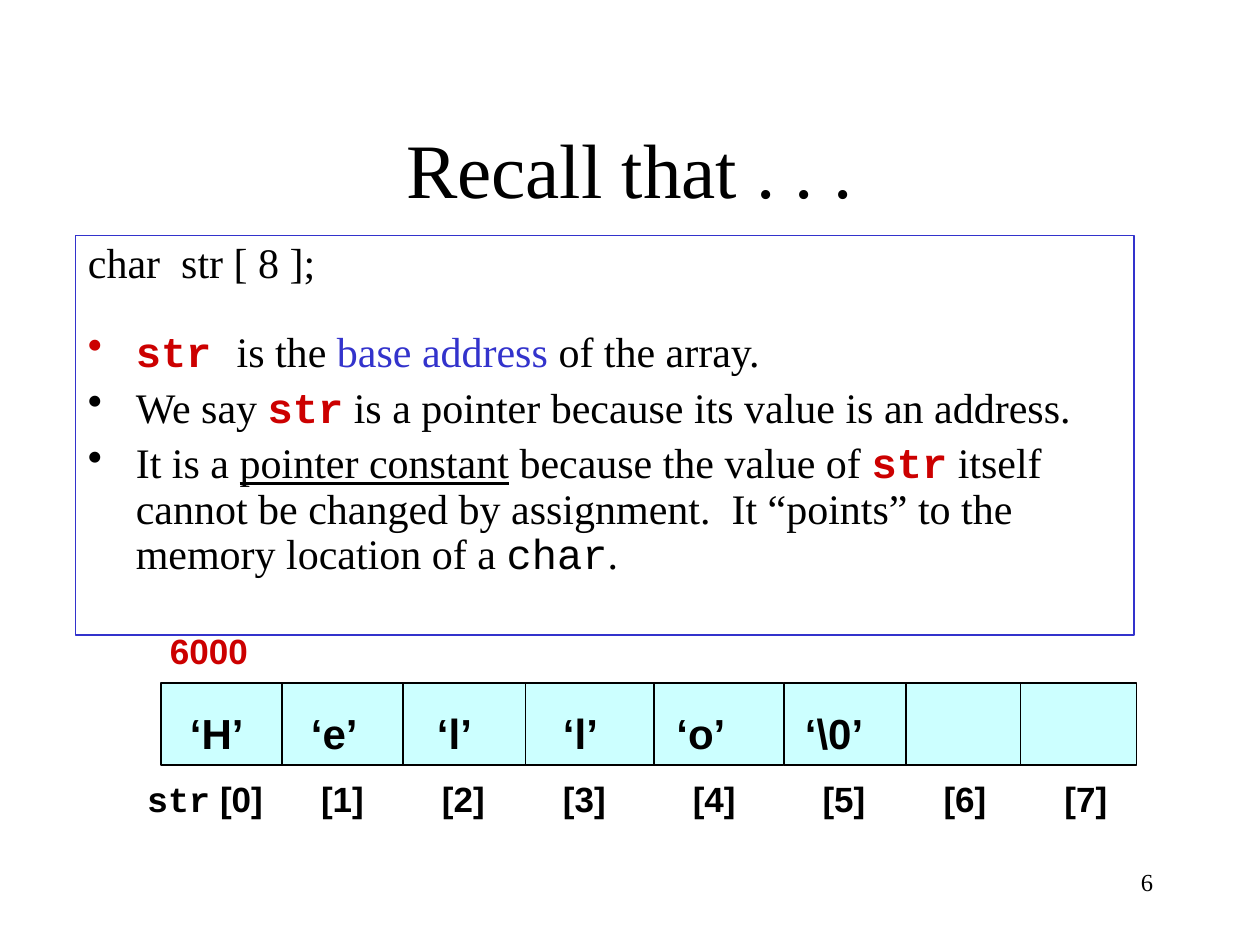
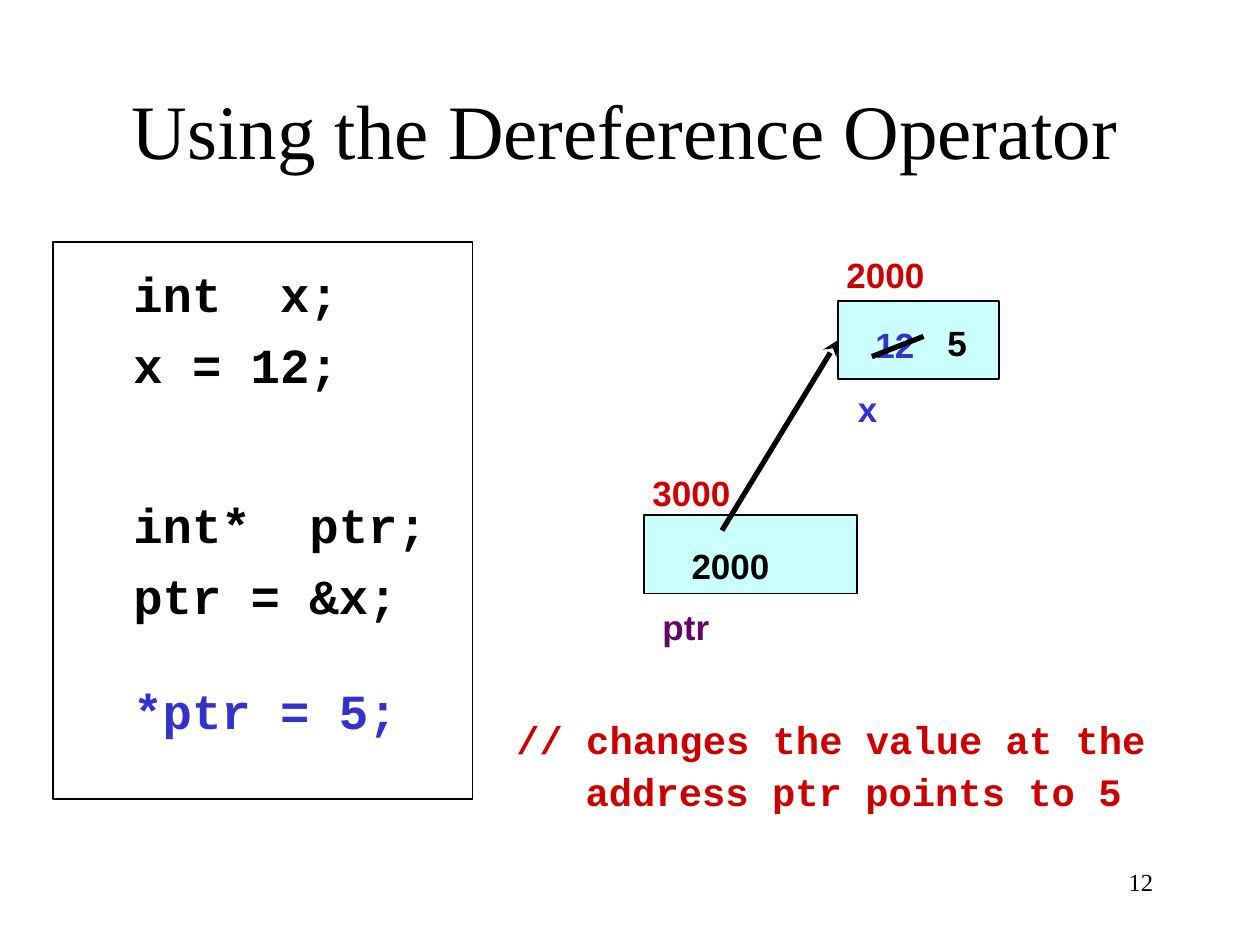
from dataclasses import dataclass

from lxml import etree
from pptx import Presentation
from pptx.dml.color import RGBColor
from pptx.enum.shapes import MSO_CONNECTOR, MSO_SHAPE
from pptx.enum.text import MSO_ANCHOR, PP_ALIGN
from pptx.oxml.ns import qn
from pptx.util import Inches, Pt

LINE, RECT = MSO_CONNECTOR.STRAIGHT, MSO_SHAPE.RECTANGLE
LEFT, MID, RIGHT = PP_ALIGN.LEFT, PP_ALIGN.CENTER, PP_ALIGN.RIGHT
TOP, BOTTOM = MSO_ANCHOR.TOP, MSO_ANCHOR.BOTTOM
LEFT_SIDE = 1


@dataclass(frozen=True)
class Theme:
    black: str = "000000"
    white: str = "FFFFFF"
    red: str = "CC0000"
    blue: str = "3333CC"
    plum: str = "660066"
    cell: str = "CCFFFF"
    serif: str = "Times New Roman"
    sans: str = "Arial"
    mono: str = "Courier New"
    title: float = 44
    code: float = 28
    body: float = 24
    note: float = 22.2
    label: float = 20
    page: float = 14


T = Theme()


@dataclass(frozen=True)
class Style:
    font: str
    size: float
    color: str = T.black
    bold: bool = False
    line: bool = False


@dataclass(frozen=True)
class Para:
    runs: list
    before: float = 0
    space: float = 1
    align: int = LEFT
    indent: float = 0
    bullet: str = ""


TITLE = Style(T.serif, T.title)
PAGE = Style(T.serif, T.page)
BODY = Style(T.serif, T.body)
BASE = Style(T.serif, T.body, T.blue)
UNDER = Style(T.serif, T.body, line=True)
NAME = Style(T.mono, T.body, T.red, True)
TYPE = Style(T.mono, T.body)
CHAR = Style(T.sans, T.body, bold=True)
CODE = Style(T.mono, T.code, bold=True)
HOT = Style(T.mono, T.code, T.blue, True)
NOTE = Style(T.mono, T.note, T.red, True)
INDEX = Style(T.mono, T.label, bold=True)
LABEL = Style(T.sans, T.label, bold=True)
ADDR = Style(T.sans, T.label, T.red, True)
VAR = Style(T.sans, T.label, T.blue, True)
PTR = Style(T.sans, T.label, T.plum, True)

# Array slide
FACTS = [
    ("", 7, [("char  str [ 8 ];", BODY)]),
    (T.red, 25, [("str ", NAME), ("is the ", BODY), ("base address ", BASE),
                 ("of the array.", BODY)]),
    (T.black, 6, [("We say ", BODY), ("str", NAME),
                  (" is a pointer because its value is an address.", BODY)]),
    (T.black, 6, [("It is a ", BODY), ("pointer constant", UNDER),
                  (" because the value of ", BODY), ("str", NAME),
                  (" itself cannot be changed by assignment.  It “points” "
                   "to the memory location of a ", BODY),
                  ("char", TYPE), (".", BODY)]),
]
EDGES = [1.28, 2.24, 3.2, 4.17, 5.19, 6.22, 7.19, 8.1, 9.02]
BREAK = 5  # the edge where the two strips of cells meet
ROW, HIGH = 5.42, 0.65
CHARS = [("‘H’", 1.41), ("‘e’", 2.37), ("‘l’", 3.37),
         ("‘l’", 4.37), ("‘o’", 5.27), ("‘\\0’", 6.29)]
MARKS = [2.45, 3.41, 4.37, 5.4, 6.43, 7.39, 8.35]

# Pointer slide
LINES = [("int  x;", 7, CODE), ("x = 12;", 7, CODE), ("int*  ptr;", 58, CODE),
         ("ptr = &x;", 7, CODE), ("*ptr = 5;", 32, HOT)]
NOTES = [("// changes the value at the", 0), ("address ptr points to 5", 0.55)]
X_BOX = (6.65, 2.39, 1.28, 0.62)
PTR_BOX = (5.11, 4.09, 1.69, 0.62)
LABELS = [("2000", 6.62, 1.96, ADDR), ("12", 6.85, 2.52, VAR),
          ("x", 6.71, 3.03, VAR), ("3000", 5.08, 3.69, ADDR),
          ("2000", 5.39, 4.27, LABEL), ("ptr", 5.16, 4.76, PTR)]


def rgb(color):
    return RGBColor.from_string(color)


def add_run(para, words, style):
    run = para.add_run()
    run.text = words
    font = run.font
    font.name, font.size = style.font, Pt(style.size)
    font.bold, font.underline = style.bold, style.line
    font.color.rgb = rgb(style.color)


def write(shape, paras, anchor=TOP):
    frame = shape.text_frame
    frame.word_wrap = True
    frame.vertical_anchor = anchor
    for num, item in enumerate(paras):
        para = frame.add_paragraph() if num else frame.paragraphs[0]
        para.alignment = item.align
        para.line_spacing = item.space
        para.space_before = Pt(item.before)
        props = para._p.get_or_add_pPr()
        props.set("marL", str(Inches(item.indent)))
        if item.bullet:
            props.set("indent", str(-Inches(item.indent)))
            tint = etree.SubElement(props, qn("a:buClr"))
            etree.SubElement(tint, qn("a:srgbClr")).set("val", item.bullet)
            etree.SubElement(props, qn("a:buChar")).set("char", "•")
        for words, style in item.runs:
            add_run(para, words, style)


def add_text(slide, box, paras, anchor=TOP):
    write(slide.shapes.add_textbox(*map(Inches, box)), paras, anchor)


def add_label(slide, words, x, y, style, width=0.9):
    add_text(slide, (x, y, width, 0.43), [Para([(words, style)])])


def add_rect(slide, box, fill=None, line=T.black, width=1):
    rect = slide.shapes.add_shape(RECT, *map(Inches, box))
    rect.shadow.inherit = False
    if fill:
        rect.fill.solid()
        rect.fill.fore_color.rgb = rgb(fill)
    else:
        rect.fill.background()
    if line:
        rect.line.color.rgb = rgb(line)
        rect.line.width = Pt(width)
    else:
        rect.line.fill.background()
    return rect


def add_line(slide, start, end, width=1):
    line = slide.shapes.add_connector(LINE, *map(Inches, start + end))
    line.line.color.rgb = rgb(T.black)
    line.line.width = Pt(width)
    etree.SubElement(line._element.spPr, qn("a:effectLst"))
    return line


def add_slide(deck, title, box, page):
    """Start a slide with its title and page number."""
    slide = deck.slides.add_slide(deck.slide_layouts[6])
    add_text(slide, box, [Para([(title, TITLE)], align=MID)], BOTTOM)
    add_text(slide, (7.17, 6.83, 2.08, 0.5),
             [Para([(page, PAGE)], align=RIGHT)])
    return slide


def array_slide(deck):
    slide = add_slide(deck, "Recall that . . .", (0.75, 0.5, 8.5, 1.25), "6")
    panel = add_rect(slide, (0.6, 1.87, 8.4, 3.17), line=T.blue, width=0.75)
    write(panel, [Para(runs, before, 0.9, indent=0.38 if dot else 0, bullet=dot)
                  for dot, before, runs in FACTS])

    for first, last in ((0, BREAK), (BREAK, len(EDGES) - 1)):
        left, right = EDGES[first], EDGES[last]
        add_rect(slide, (left, ROW, right - left, HIGH), T.cell)
        for x in EDGES[first + 1:last]:
            add_line(slide, (x, ROW), (x, ROW + HIGH))

    for words, x in CHARS:
        add_label(slide, words, x, 5.57, CHAR)
    add_text(slide, (1.07, 6.12, 1.3, 0.43),
             [Para([("str", INDEX), (" [0]", LABEL)])])
    for num, x in enumerate(MARKS, 1):
        add_label(slide, f"[{num}]", x, 6.12, LABEL)
    add_label(slide, "6000", 1.25, 4.95, ADDR)


def pointer_slide(deck):
    slide = add_slide(deck, "Using the Dereference Operator",
                      (0.67, 0.19, 8.58, 1.25), "12")
    add_rect(slide, (0.42, 1.92, 3.33, 4.42), T.white)
    add_text(slide, (0.96, 2.04, 2.75, 4.25),
             [Para([(words, style)], before) for words, before, style in LINES])

    target = add_rect(slide, X_BOX, T.cell)
    add_rect(slide, PTR_BOX, T.cell)
    arrow = add_line(slide, (5.73, 4.21), (6.65, 2.7), 3)
    arrow.end_connect(target, LEFT_SIDE)
    etree.SubElement(arrow.line._get_or_add_ln(),
                     qn("a:tailEnd")).set("type", "stealth")

    for words, x, y, style in LABELS:
        add_label(slide, words, x, y, style)
    value = add_rect(slide, (7.42, 2.5, 0.35, 0.44), T.cell, None)
    write(value, [Para([("5", LABEL)])])
    add_line(slide, (6.92, 2.83), (7.33, 2.67), 3)
    add_text(slide, (4, 5.67, 5.67, 0.92),
             [Para([(words, NOTE)], 6, 0.9, indent=indent)
              for words, indent in NOTES])


def main():
    deck = Presentation()
    deck.slide_width, deck.slide_height = Inches(10), Inches(7.5)
    array_slide(deck)
    pointer_slide(deck)
    deck.save("out.pptx")


if __name__ == "__main__":
    main()
